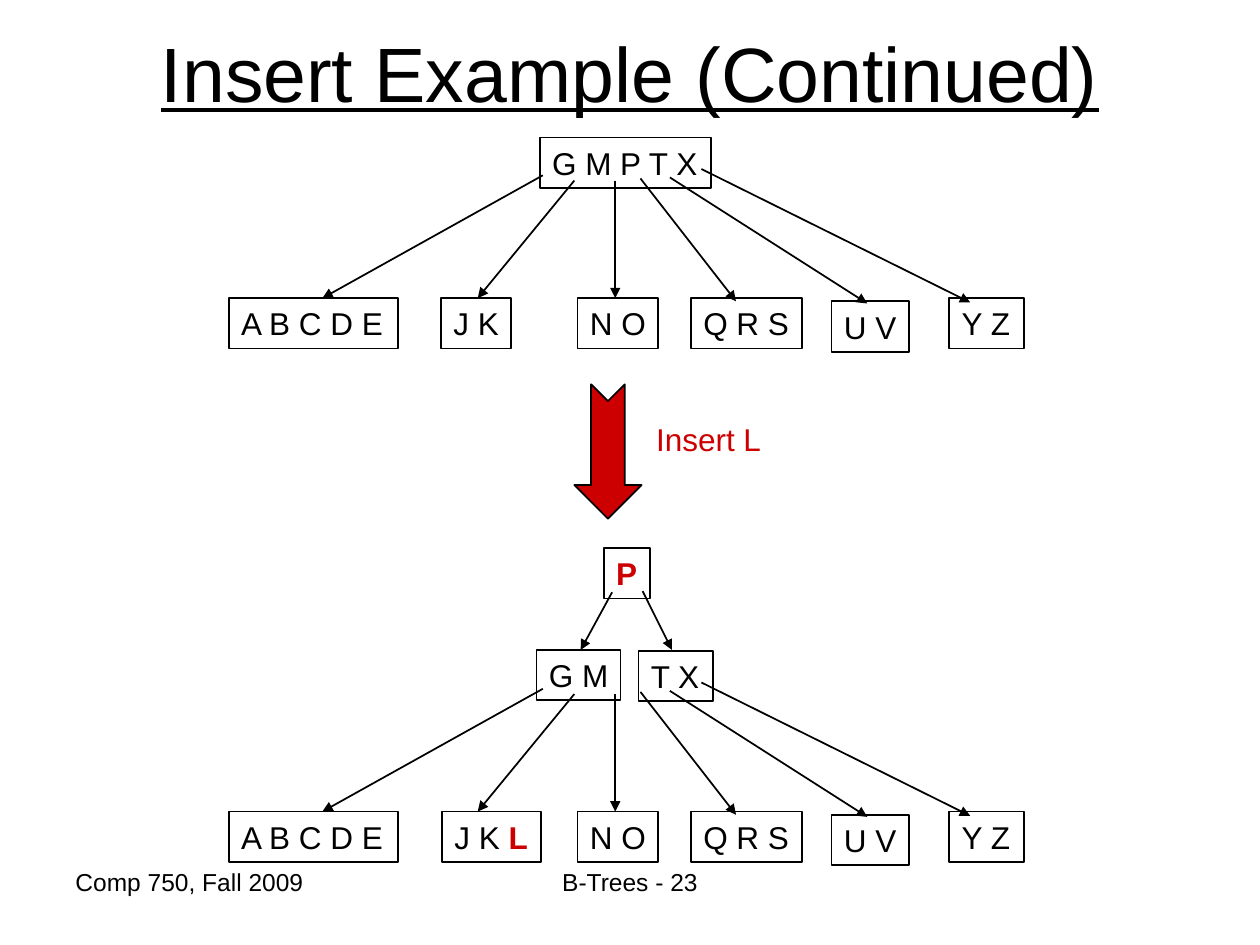
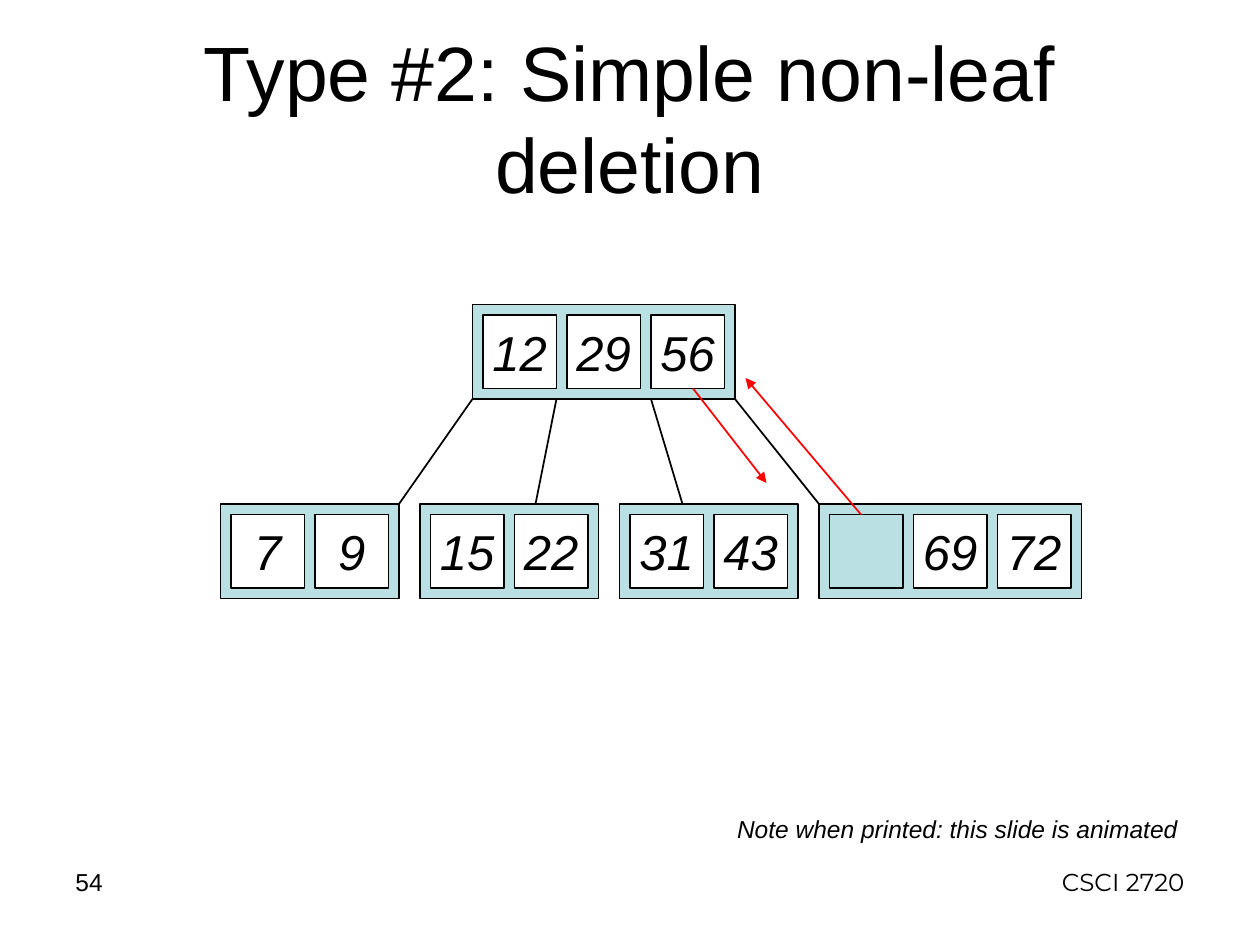
import pptx
import pptx.util
import pptx.dml.color
import pptx.enum.shapes
import pptx.enum.text
import pptx.oxml
import pptx.oxml.ns

PX = 7620
COLORS = {"ink": "000000", "paper": "FFFFFF", "accent": "CC0000",
          "node": "BBE0E3", "move": "FF0000"}
ALIGN = pptx.enum.text.PP_ALIGN
ANCHOR = pptx.enum.text.MSO_ANCHOR
NODE_H = 48
KEY = 70
GAP = 10


def px(*lengths):
    return [v * PX for v in lengths]


def rgb(name):
    return pptx.dml.color.RGBColor.from_string(COLORS[name])


def write(tf, text, size=18, color="ink", font="Arial", bold=False, italic=False,
          underline=False, align=ALIGN.LEFT, anchor=ANCHOR.TOP, wrap=False):
    tf.word_wrap = wrap
    tf.auto_size = pptx.enum.text.MSO_AUTO_SIZE.NONE
    tf.vertical_anchor = anchor
    p = tf.paragraphs[0]
    p.alignment = align
    r = p.add_run()
    r.text = text
    r.font.name = font
    r.font.size = pptx.util.Pt(size)
    r.font.color.rgb = rgb(color)
    r.font.bold = bold
    r.font.italic = italic
    r.font.underline = underline


def paint(sp, fill=None, line="ink"):
    sp.shadow.inherit = False
    if fill:
        sp.fill.solid()
        sp.fill.fore_color.rgb = rgb(fill)
    else:
        sp.fill.background()
    sp.line.color.rgb = rgb(line)
    sp.line.width = pptx.util.Pt(1)


def add_slide(prs, title, height, underline=False):
    s = prs.slides.add_slide(prs.slide_layouts[5])
    sp = s.shapes.title
    sp.left, sp.top, sp.width, sp.height = px(60, 36, 1080, height)
    write(sp.text_frame, title, size=44, underline=underline,
          align=ALIGN.CENTER, anchor=ANCHOR.MIDDLE, wrap=True)
    return s


def add_label(s, text, x, y, w, h, **fmt):
    write(s.shapes.add_textbox(*px(x, y, w, h)).text_frame, text, **fmt)


def add_footer(s, text, x, w, **fmt):
    add_label(s, text, x, 820, w, 62, size=14, wrap=True, **fmt)


def add_box(s, x, y, w, h, fill=None):
    sp = s.shapes.add_shape(pptx.enum.shapes.MSO_SHAPE.RECTANGLE, *px(x, y, w, h))
    paint(sp, fill)
    return sp


def add_line(s, start, end, color="ink", arrow=True):
    sp = s.shapes.add_connector(pptx.enum.shapes.MSO_CONNECTOR.STRAIGHT, *px(*start, *end))
    sp.line.color.rgb = rgb(color)
    sp.line.width = pptx.util.Pt(1)
    if arrow:
        tail = pptx.oxml.parse_xml(
            f'<a:tailEnd {pptx.oxml.ns.nsdecls("a")} type="triangle"/>')
        sp.line._get_or_add_ln().append(tail)
    sp._element.spPr.append(
        pptx.oxml.parse_xml(f'<a:effectLst {pptx.oxml.ns.nsdecls("a")}/>'))


def add_tree_node(s, text, x, y, w, new_key="", **fmt):
    tf = add_box(s, x, y, w, NODE_H).text_frame
    if text:
        write(tf, text, **fmt)
    if new_key:
        write(tf, new_key, color="accent", bold=True)


def add_leaf_level(s, dy, second_leaf):
    leaves = [("A B C D E", 218, 284, 161), second_leaf, ("N O", 550, 284, 77),
              ("Q R S", 658, 284, 106), ("U V", 792, 287, 74), ("Y Z", 904, 284, 71)]
    for text, x, y, w, *new_key in leaves:
        add_tree_node(s, text, x, y + dy, w, *new_key)
    arrows = [(517, 167, 307, 284), (547, 172, 455, 284), (586, 172, 586, 284),
              (610, 170, 701, 287), (638, 169, 826, 289), (668, 161, 924, 288)]
    for x1, y1, x2, y2 in arrows:
        add_line(s, (x1, y1 + dy), (x2, y2 + dy))


def add_step_arrow(s):
    points = [(595, 366), (595, 462), (611, 462), (579, 494),
              (547, 462), (563, 462), (563, 366), (579, 382)]
    fb = s.shapes.build_freeform(*points[0], scale=PX)
    fb.add_line_segments(points[1:], close=True)
    paint(fb.convert_to_shape(), "accent")


def add_key_node(s, keys, x, y):
    step = KEY + GAP
    add_box(s, x, y, len(keys) * step + GAP, KEY + 2 * GAP, "node")
    for i, key in enumerate(keys):
        sp = add_box(s, x + GAP + i * step, y + GAP, KEY, KEY, "paper" if key else "node")
        if key:
            write(sp.text_frame, key, size=28, italic=True,
                  align=ALIGN.CENTER, anchor=ANCHOR.MIDDLE)


def build_insert(prs):
    s = add_slide(prs, "Insert Example (Continued)", 64, underline=True)
    add_footer(s, "Comp 750, Fall 2009", 60, 280)
    add_footer(s, "B-Trees - 23", 410, 380, align=ALIGN.CENTER)

    add_tree_node(s, "G M P T X", 514, 131, 163)
    add_leaf_level(s, 0, ("J K", 420, 284, 67))

    add_step_arrow(s)
    add_label(s, "Insert L", 613, 394, 124, NODE_H, color="accent")

    add_tree_node(s, "", 575, 522, 44, "P")
    add_tree_node(s, "G M", 511, 619, 80)
    add_tree_node(s, "T X", 608, 620, 71)
    add_line(s, (583, 564), (553, 619))
    add_line(s, (612, 563), (640, 619))
    add_leaf_level(s, 489, ("J K ", 421, 284, 94, "L"))


def build_deletion(prs):
    s = add_slide(prs, "Type #2: Simple non-leaf deletion", 150)
    add_footer(s, "CSCI 2720", 860, 280, font="Montserrat", align=ALIGN.RIGHT)
    add_footer(s, "54", 60, 280)

    add_key_node(s, ["12", "29", "56"], 450, 290)
    leaves = [["7", "9"], ["15", "22"], ["31", "43"], ["", "69", "72"]]
    for i, keys in enumerate(leaves):
        add_key_node(s, keys, 210 + 190 * i, 480)
    for top, bottom in [(450, 380), (530, 510), (620, 650), (700, 780)]:
        add_line(s, (top, 380), (bottom, 480), arrow=False)
    add_line(s, (660, 370), (730, 460), "move")
    add_line(s, (820, 490), (710, 360), "move")

    add_label(s, "Note when printed: this slide is animated", 690, 769, 444, 41,
              size=14, italic=True, align=ALIGN.CENTER, anchor=ANCHOR.MIDDLE)


def main():
    prs = pptx.Presentation()
    prs.slide_width, prs.slide_height = px(1200, 900)
    build_insert(prs)
    build_deletion(prs)
    prs.save("out.pptx")


if __name__ == "__main__":
    main()
